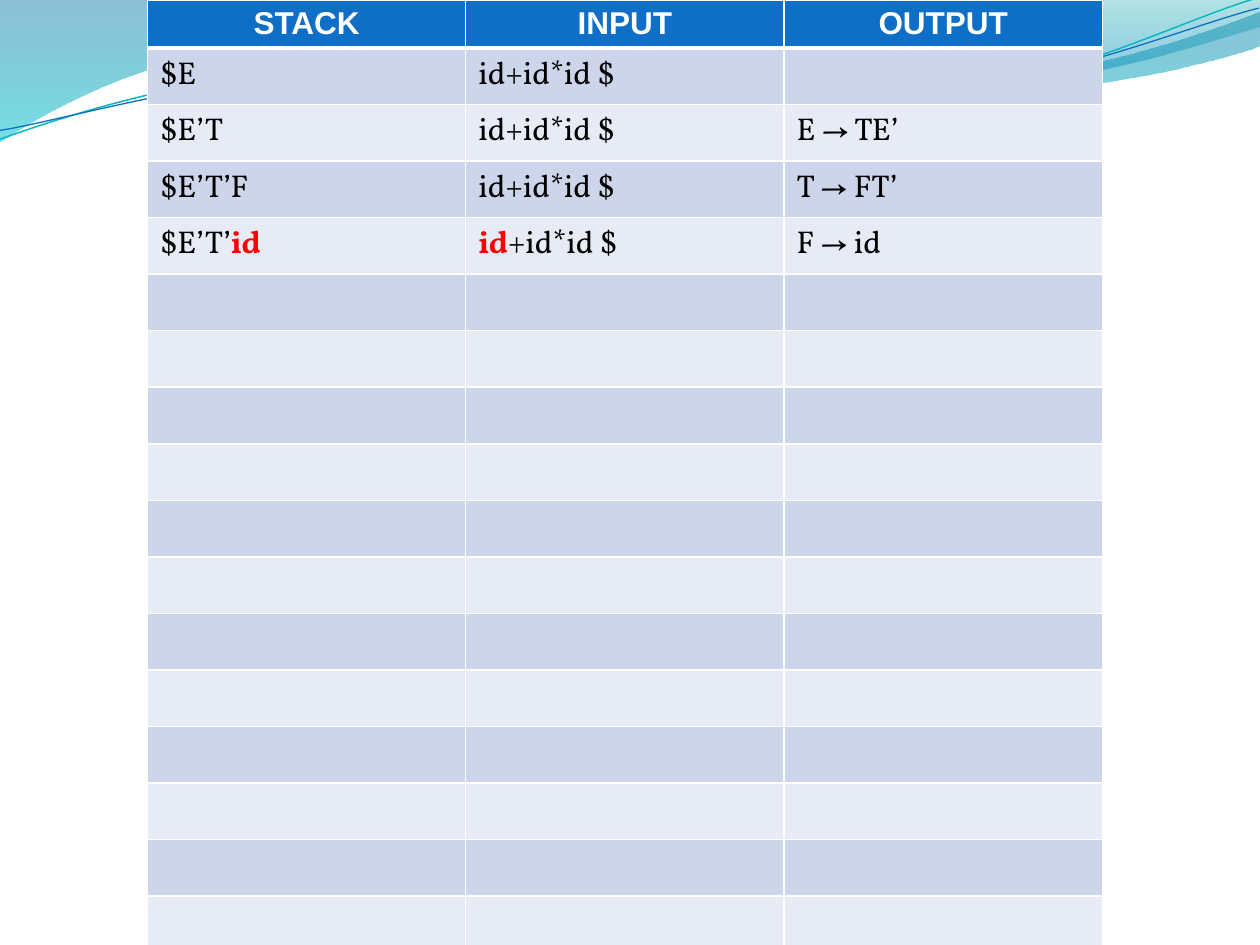
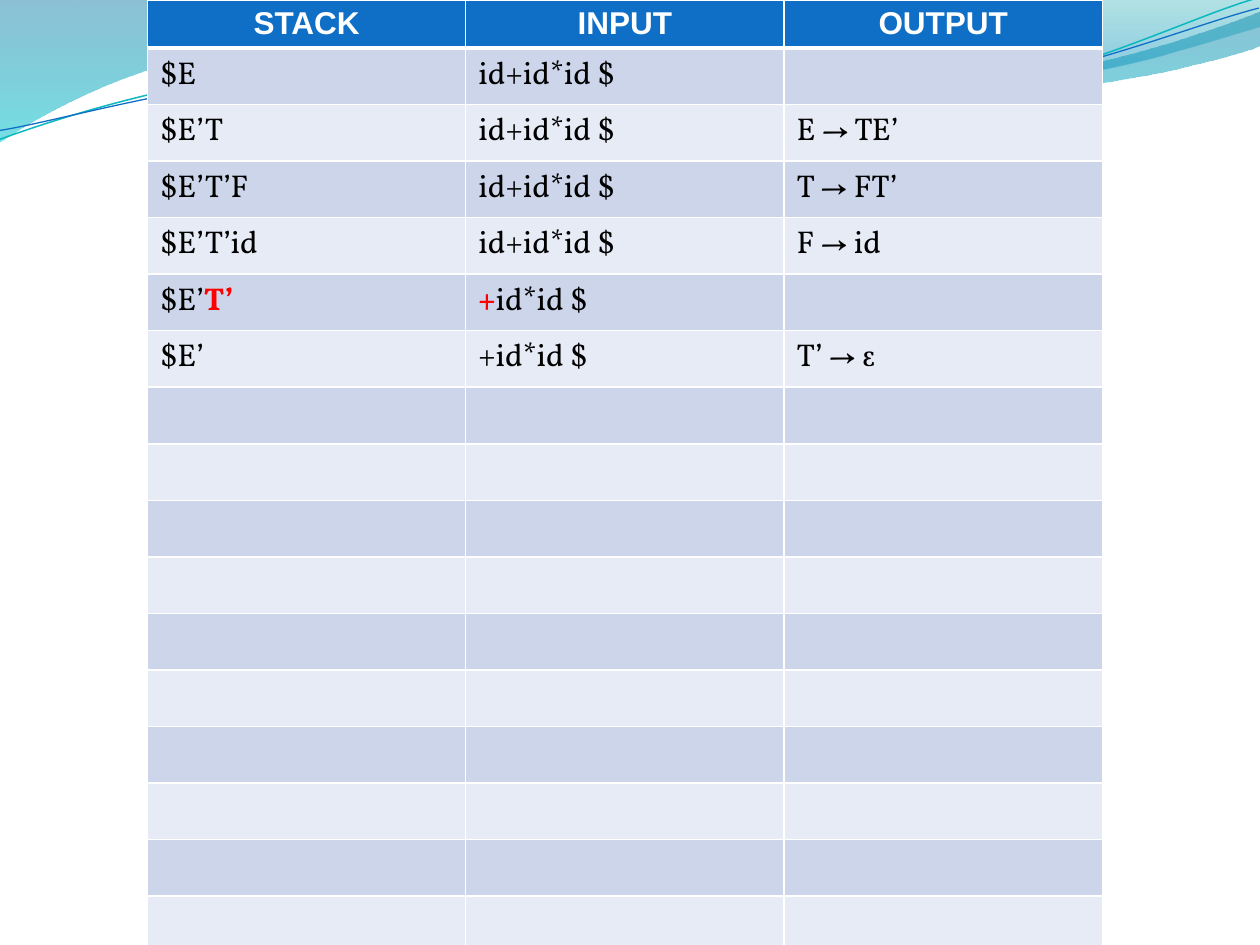
"""Build two slides that trace a predictive parser on id+id*id."""
from lxml.etree import SubElement
from pptx import Presentation
from pptx.dml.color import RGBColor
from pptx.enum.text import PP_ALIGN as Align
from pptx.oxml.ns import qn
from pptx.util import Inches, Pt

WHITE, BLACK, RED, BLUE = "FFFFFF", "000000", "FF0000", "0F6FC6"
ROW_FILLS = ["E7EBF5", "CCD5EA"]
HEADINGS = ["STACK", "INPUT", "OUTPUT"]
ROW_COUNT = 18


def color(code):
    return RGBColor.from_string(code)


def draw_outline(page, start, pieces, close):
    """Draw an outline whose pieces are lines (x, y) or curves (two controls and an end)."""
    points = [start]
    for piece in pieces:
        points += zip(piece[::2], piece[1::2])
    points = [(round(x * unit), round(y * unit)) for x, y in points]
    builder = page.shapes.build_freeform(*points[0])
    builder.add_line_segments(points[1:], close=close)
    shape = builder.convert_to_shape()
    shape.shadow.inherit = False
    segments = iter(list(shape.element.iter(qn("a:lnTo"))))
    for piece in pieces:
        segment = next(segments)
        if len(piece) == 6:
            curve = segment.makeelement(qn("a:cubicBezTo"))
            segment.addprevious(curve)
            for corner in (segment, next(segments), next(segments)):
                curve.append(corner[0])
                corner.getparent().remove(corner)
    return shape


deck = Presentation()
deck.slide_width, deck.slide_height = Inches(10), Inches(7.5)
unit = deck.slide_width / 10
layout = deck.slide_layouts[6]
pages = [deck.slides.add_slide(layout) for _ in range(2)]

bands = [
    ((0, -0.01),
     [(4.4, -0.01),
      (4.76, 0.17, 6.64, 0.63, 7.58, 0.63),
      (8.53, 0.63, 9.58, 0.26, 10, 0.09),
      (10.01, 0.36),
      (9.83, 0.44, 8.7, 0.76, 7.46, 0.75),
      (6.22, 0.75, 3.82, 0.28, 2.57, 0.34),
      (1.29, 0.35, 0.46, 0.83, -0.01, 1.13),
      (0, -0.01)],
     [(0, "0074A1", 45), (1, "00C6CF", 55)]),
    ((4.79, -0.01),
     [(5.09, 0.11, 6.82, 0.62, 7.69, 0.65),
      (8.56, 0.69, 9.61, 0.32, 10, 0.21),
      (10, 0),
      (4.79, -0.01)],
     [(0, "00A1A9", 30), (0.8, "008BBF", 45)]),
]
waves = [
    ((-0.02, 0.87),
     [(0.47, 0.72, 1.58, 0.41, 2.77, 0.42),
      (3.96, 0.42, 5.91, 0.93, 7.12, 0.9),
      (8.32, 0.87, 9.4, 0.36, 10, 0.22)],
     "0AB8BF", 0.85),
    ((-0.02, 0.8),
     [(0.46, 0.75, 1.64, 0.45, 2.83, 0.46),
      (4.03, 0.46, 5.96, 0.88, 7.16, 0.85),
      (8.35, 0.83, 9.42, 0.42, 10.01, 0.3)],
     BLUE, 0.75),
]

for start, pieces, stops in bands:
    band = draw_outline(pages[0], start, pieces, True)
    band.line.fill.background()
    band.fill.gradient()
    band.fill.gradient_angle = 270
    for stop, (position, code, _) in zip(band.fill.gradient_stops, stops):
        stop.position = position
        stop.color.rgb = color(code)
    for tint, (_, _, opacity) in zip(band.element.iter(qn("a:srgbClr")), stops):
        SubElement(tint, qn("a:alpha"), val=str(opacity * 1000))
    layout.shapes.element.append(band.element)

wave_shapes = []
for start, pieces, code, weight in waves:
    wave = draw_outline(pages[0], start, pieces, False)
    wave.rotation = 357.3
    wave.fill.background()
    wave.line.color.rgb = color(code)
    wave.line.width = Pt(weight)
    wave_shapes.append(wave)
wave_group = pages[0].shapes.add_group_shape(wave_shapes)
layout.shapes.element.append(wave_group.element)

opening_moves = [
    ("$E", "id+id*id $", ""),
    ("$E’T", "id+id*id $", "E → TE’"),
    ("$E’T’F", "id+id*id $", "T → FT’"),
]
traces = [
    opening_moves + [("$E’T’[id]", "[id]+id*id $", "F → id")],
    opening_moves + [
        ("$E’T’id", "id+id*id $", "F → id"),
        ("$E’[T’]", "[+]id*id $", ""),
        ("$E’", "+id*id $", "T’ → ε"),
    ],
]

for page, trace in zip(pages, traces):
    frame = page.shapes.add_table(
        ROW_COUNT, len(HEADINGS), round(deck.slide_width * 0.117), 0,
        round(deck.slide_width * 0.758), round(deck.slide_height * 0.96))
    table = frame.table
    lines = [HEADINGS, *trace]
    lines += [("", "", "")] * (ROW_COUNT - len(lines))
    for row_index, line in enumerate(lines):
        is_heading = row_index == 0
        table.rows[row_index].height = round(0.32 * unit)
        for cell, text in zip(table.rows[row_index].cells, line):
            properties = cell._tc.get_or_add_tcPr()
            for side in "LRB" if row_index == 1 else "LRTB":
                weight = 3 if is_heading and side == "B" else 1
                edge = SubElement(properties, qn(f"a:ln{side}"), w=str(Pt(weight)))
                paint = SubElement(edge, qn("a:solidFill"))
                SubElement(paint, qn("a:srgbClr"), val=WHITE)
            cell.fill.solid()
            cell.fill.fore_color.rgb = color(BLUE if is_heading else ROW_FILLS[row_index % 2])
            para = cell.text_frame.paragraphs[0]
            if is_heading:
                para.alignment = Align.CENTER
            typeface = "Arial" if is_heading else "Vollkorn"
            for part_index, part in enumerate(text.replace("]", "[").split("[")):
                if not part:
                    continue
                is_match = part_index % 2 == 1
                span = para.add_run()
                span.text = part
                span.font.name = typeface
                span.font.size = Pt(18)
                span.font.bold = is_heading or is_match
                span.font.color.rgb = color(WHITE if is_heading else RED if is_match else BLACK)
            if not text:
                ending = SubElement(para._p, qn("a:endParaRPr"), sz="1800")
                SubElement(ending, qn("a:latin"), typeface=typeface)

deck.save("out.pptx")
